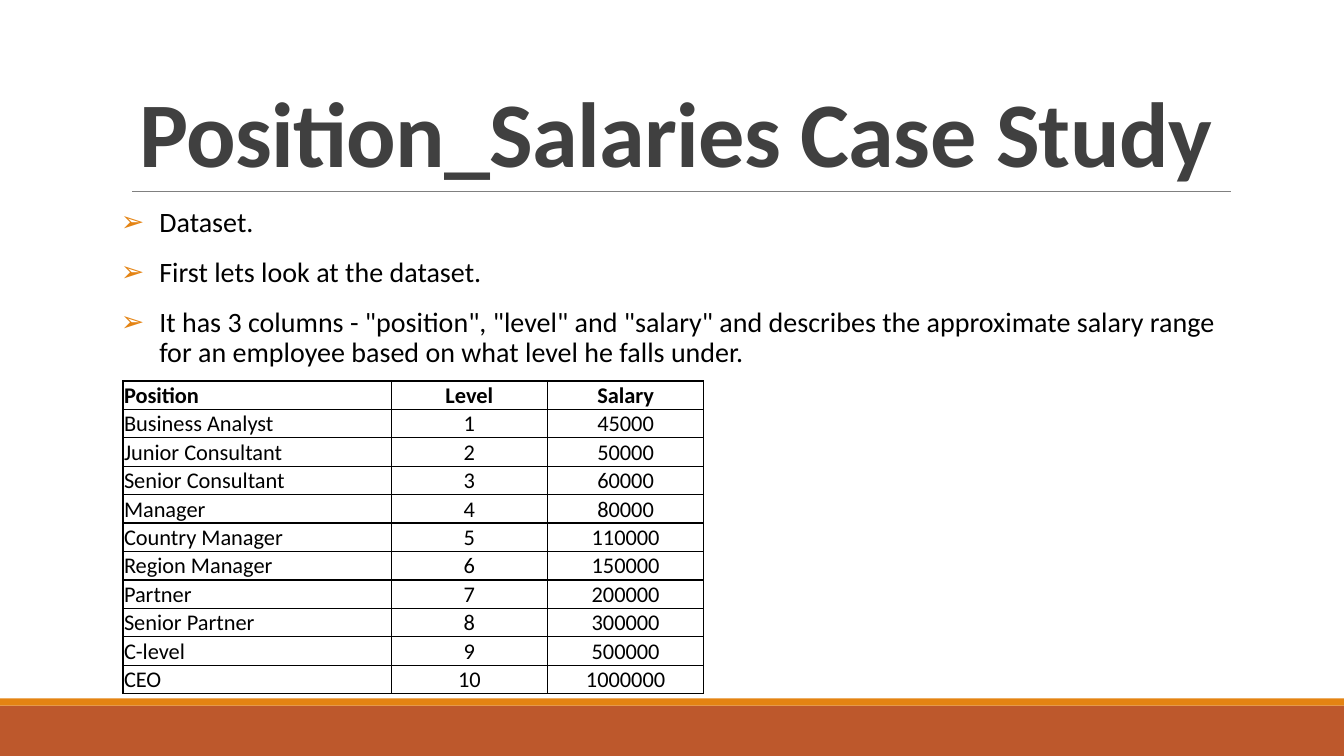
import dataclasses

import lxml.etree
import pptx
import pptx.dml.color
import pptx.enum.shapes
import pptx.enum.text
import pptx.oxml.ns
import pptx.util

Inches = pptx.util.Inches
Pt = pptx.util.Pt
ALIGN = pptx.enum.text.PP_ALIGN
ANCHOR = pptx.enum.text.MSO_ANCHOR


@dataclasses.dataclass(frozen=True)
class Theme:
    font: str = "Calibri"
    head: str = "404040"
    ink: str = "000000"
    rule: str = "808080"
    band: str = "BD582C"
    accent: str = "E48312"
    title: int = 66
    body: int = 20
    cell: int = 16


THEME = Theme()
WIDTH, HEIGHT = 13.33, 7.5

POINTS = [
    "Dataset.",
    "First lets look at the dataset.",
    'It has 3 columns - "position", "level" and "salary" and describes the '
    "approximate salary range for an employee based on what level he falls under.",
]
HEADS = ("Position", "Level", "Salary")
JOBS = [
    ("Business Analyst", 45000),
    ("Junior Consultant", 50000),
    ("Senior Consultant", 60000),
    ("Manager", 80000),
    ("Country Manager", 110000),
    ("Region Manager", 150000),
    ("Partner", 200000),
    ("Senior Partner", 300000),
    ("C-level", 500000),
    ("CEO", 1000000),
]


def paint(code):
    return pptx.dml.color.RGBColor.from_string(code)


def node(parent, tag, **attrs):
    return lxml.etree.SubElement(parent, pptx.oxml.ns.qn(tag), attrs)


def write(para, text, size, color, bold=False):
    run = para.add_run()
    run.text = text
    font = run.font
    font.name, font.size, font.bold = THEME.font, Pt(size), bold
    font.color.rgb = paint(color)
    return run


def place(shape, box):
    shape.left, shape.top, shape.width, shape.height = map(Inches, box)


def setup(shape, box, anchor, side):
    """Move a placeholder and set up its text frame."""
    place(shape, box)
    frame = shape.text_frame
    frame.word_wrap = True
    frame.auto_size = pptx.enum.text.MSO_AUTO_SIZE.NONE
    frame.vertical_anchor = anchor
    frame.margin_left = frame.margin_right = Inches(side)
    return frame


def add_band(slide, box, color):
    kind = pptx.enum.shapes.MSO_SHAPE.RECTANGLE
    band = slide.shapes.add_shape(kind, *map(Inches, box))
    band.shadow.inherit = False
    band.fill.solid()
    band.fill.fore_color.rgb = paint(color)
    band.line.fill.background()


def add_foot(slide, box):
    """Dark band with a thin accent strip along its top."""
    left, top, width, height = box
    strip = 0.07
    add_band(slide, (left, top + strip, width, height - strip), THEME.band)
    add_band(slide, (left, top, width, strip), THEME.accent)


def add_title(slide, box):
    """Title text with a rule along the bottom of its box."""
    left, top, width, height = box
    frame = setup(slide.shapes.title, box, ANCHOR.BOTTOM, 0.1)
    para = frame.paragraphs[0]
    para.alignment = ALIGN.CENTER
    para.line_spacing = 0.85
    run = write(para, "Position_Salaries Case Study", THEME.title, THEME.head, True)
    run.font._element.set("spc", "-50")

    start, base = left + 0.11, top + height
    kind = pptx.enum.shapes.MSO_CONNECTOR.STRAIGHT
    ends = (start, base, start + 10.9, base)
    rule = slide.shapes.add_connector(kind, *map(Inches, ends))
    rule.line.color.rgb = paint(THEME.rule)
    rule.line.width = Pt(0.5)
    node(rule._element.spPr, "a:effectLst")


def add_points(slide, box):
    """Bulleted list."""
    frame = setup(slide.placeholders[1], box, ANCHOR.TOP, 0)
    for i, text in enumerate(POINTS):
        para = frame.add_paragraph() if i else frame.paragraphs[0]
        para.line_spacing = 0.9
        para.space_before, para.space_after = Pt(12), Pt(2)
        props = para._p.get_or_add_pPr()
        props.set("marL", str(Inches(0.38)))
        props.set("indent", str(Inches(-0.38)))
        node(node(props, "a:buClr"), "a:srgbClr", val=THEME.accent)
        node(props, "a:buChar", char="➢")
        write(para, text, THEME.body, THEME.ink)


def fill_cell(cell, text, align, bold):
    cell.margin_left = cell.margin_right = cell.margin_top = Inches(0.01)
    cell.margin_bottom = 0
    cell.vertical_anchor = ANCHOR.BOTTOM
    props = cell._tc.get_or_add_tcPr()
    for side in ("a:lnL", "a:lnR", "a:lnT", "a:lnB"):
        edge = node(props, side, w=str(Pt(1)))
        node(node(edge, "a:solidFill"), "a:srgbClr", val=THEME.ink)
    cell.fill.background()
    para = cell.text_frame.paragraphs[0]
    para.alignment = align
    write(para, text, THEME.cell, THEME.ink, bold)


def add_grid(slide, box):
    """Salary table; levels count up from 1."""
    rows = [HEADS] + [(job, n, pay) for n, (job, pay) in enumerate(JOBS, 1)]
    shape = slide.shapes.add_table(len(rows), len(HEADS), *map(Inches, box))
    grid = shape.table
    grid.first_row = grid.horz_banding = False
    for col, width in zip(grid.columns, (2.66, 1.55, 1.55)):
        col.width = Inches(width)
    for r, row in enumerate(rows):
        grid.rows[r].height = Inches(box[3] / len(rows))
        for c, value in enumerate(row):
            align = ALIGN.CENTER if c else ALIGN.LEFT
            fill_cell(grid.cell(r, c), str(value), align, r == 0)


def main():
    deck = pptx.Presentation()
    deck.slide_width, deck.slide_height = Inches(WIDTH), Inches(HEIGHT)
    slide = deck.slides.add_slide(deck.slide_layouts[1])
    add_foot(slide, (0, 6.93, WIDTH, 0.57))
    add_title(slide, (1.2, 0.31, 11, 1.59))
    add_points(slide, (1.2, 2.02, 11, 4.83))
    add_grid(slide, (1.22, 3.78, 5.76, 3.08))
    deck.save("out.pptx")


if __name__ == "__main__":
    main()
